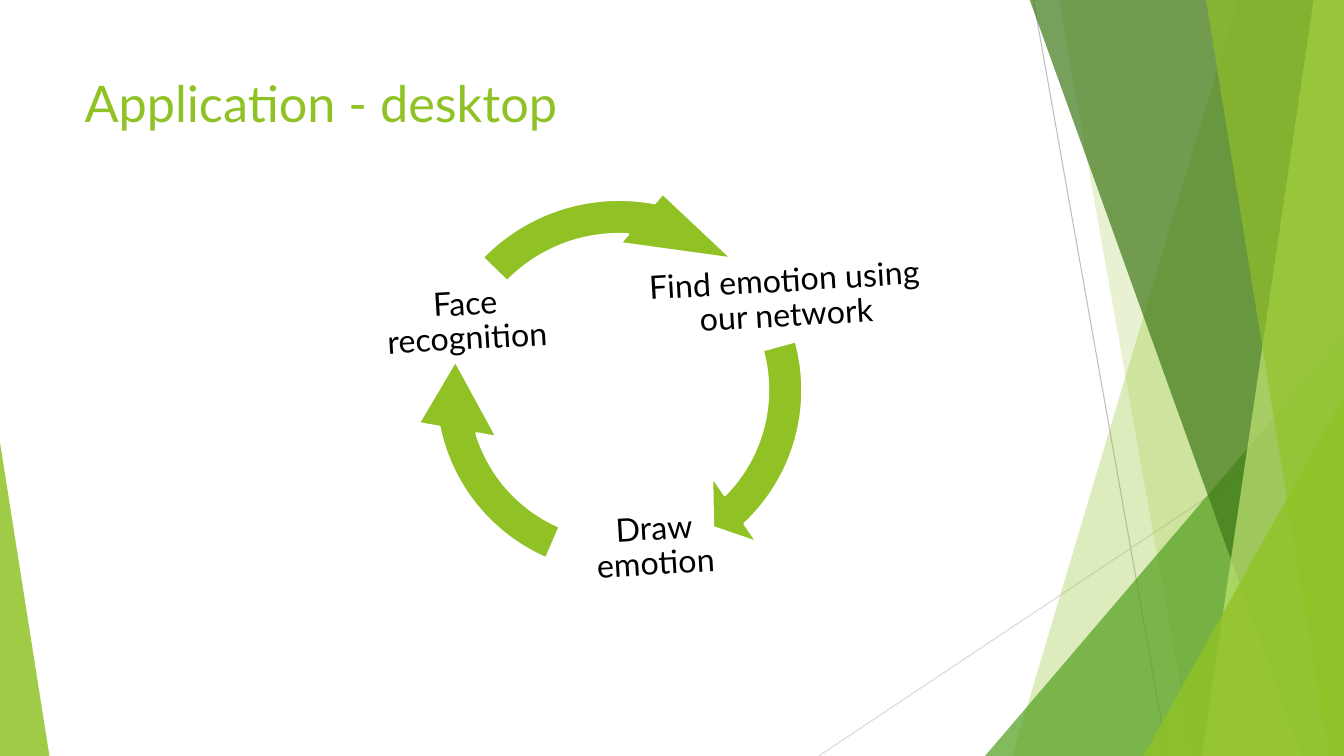
from lxml.etree import SubElement
from pptx import Presentation
from pptx.dml.color import RGBColor
from pptx.enum.shapes import MSO_CONNECTOR, MSO_SHAPE
from pptx.enum.text import MSO_ANCHOR, PP_ALIGN
from pptx.oxml.ns import qn
from pptx.util import Inches, Pt

LIME = RGBColor(0x90, 0xC2, 0x26)
PALE_LIME = RGBColor(0xC0, 0xE4, 0x74)
GREEN = RGBColor(0x54, 0xA0, 0x21)
DARK_GREEN = RGBColor(0x3F, 0x78, 0x19)
GRAY = RGBColor(0xBF, 0xBF, 0xBF)
LIGHT_GRAY = RGBColor(0xD9, 0xD9, 0xD9)
BLACK = RGBColor(0, 0, 0)
WHITE = RGBColor(0xFF, 0xFF, 0xFF)

FONT = "Lato"
WIDTH, HEIGHT = 13.33, 7.5
BAND_TOP = -0.01
CYCLE_ROTATION = 356.6
CYCLE_BOX = (4.1, 1.83, 4.08, 4.08)

# Label, its box, and the adjustments of the arrow drawn above it
CYCLE_STEPS = [
    ("Face recognition", (3.76, 2.33, 1.73, 1.73),
     (0.083, 5.767, 29.613, 208.78, 0.096)),
    ("Find emotion using our network", (6.36, 2.1, 2.86, 1.73),
     (0.083, 14.343, 101.699, 70.113, 0.096)),
    ("Draw emotion", (5.63, 4.56, 1.73, 1.73),
     (0.083, 19.805, 168.544, 136.568, 0.079)),
]


def to_inches(lengths):
    return [Inches(length) for length in lengths]


def fill_translucent(shape, color, opacity):
    """Fill without an outline; opacity is in percent."""
    shape.shadow.inherit = False
    shape.line.fill.background()
    shape.fill.solid()
    shape.fill.fore_color.rgb = color
    color_element = shape.fill._xPr.find(".//" + qn("a:srgbClr"))
    SubElement(color_element, qn("a:alpha"), val=str(opacity * 1000))


def add_thin_line(slide, start, end, color):
    line = slide.shapes.add_connector(
        MSO_CONNECTOR.STRAIGHT, *to_inches(start + end))
    line.line.color.rgb = color
    line.line.width = Pt(0.75)
    SubElement(line._element.spPr, qn("a:effectLst"))


def add_band(slide, top_x, bottom_x, color, opacity):
    """Add a full-height band from a slanted left edge to the slide's right edge."""
    builder = slide.shapes.build_freeform(Inches(top_x), Inches(BAND_TOP))
    corners = [(WIDTH, BAND_TOP), (WIDTH, HEIGHT), (bottom_x, HEIGHT)]
    builder.add_line_segments([to_inches(corner) for corner in corners], close=True)
    fill_translucent(builder.convert_to_shape(), color, opacity)


def add_corner_triangle(slide, box, apex, color, opacity):
    triangle = slide.shapes.add_shape(MSO_SHAPE.ISOSCELES_TRIANGLE, *to_inches(box))
    triangle.adjustments[0] = apex
    fill_translucent(triangle, color, opacity)


def add_text(slide, text, box, size, color):
    text_box = slide.shapes.add_textbox(*to_inches(box))
    text_box.text_frame.word_wrap = True
    run = text_box.text_frame.paragraphs[0].add_run()
    run.text = text
    run.font.name = FONT
    run.font.size = Pt(size)
    run.font.color.rgb = color
    return text_box


def add_cycle_label(slide, text, box):
    label = add_text(slide, text, box, 23, BLACK)
    label.rotation = CYCLE_ROTATION
    frame = label.text_frame
    frame.vertical_anchor = MSO_ANCHOR.MIDDLE
    frame.margin_left = frame.margin_right = Inches(0.03)
    frame.margin_top = frame.margin_bottom = Inches(0.03)
    paragraph = frame.paragraphs[0]
    paragraph.alignment = PP_ALIGN.CENTER
    paragraph.line_spacing = 0.9


def add_cycle_arrow(slide, adjustments):
    arrow = slide.shapes.add_shape(MSO_SHAPE.CIRCULAR_ARROW, *to_inches(CYCLE_BOX))
    for index, value in enumerate(adjustments):
        arrow.adjustments[index] = value
    arrow.rotation = CYCLE_ROTATION
    arrow.shadow.inherit = False
    arrow.fill.solid()
    arrow.fill.fore_color.rgb = LIME
    arrow.line.color.rgb = WHITE
    arrow.line.width = Pt(1.5)


def add_decoration(slide):
    add_thin_line(slide, (10.25, 0), (11.58, HEIGHT), GRAY)
    add_thin_line(slide, (WIDTH, 4.03), (8.12, HEIGHT), LIGHT_GRAY)
    add_band(slide, 12.28, 10.04, LIME, 30)
    add_band(slide, 10.5, 11.83, LIME, 20)
    add_corner_triangle(slide, (9.77, 3.33, 3.56, 4.17), 1, GREEN, 72)
    add_band(slide, 10.21, 12.91, DARK_GREEN, 70)
    add_band(slide, 13.03, 11.92, PALE_LIME, 70)
    add_band(slide, 11.96, 13.18, LIME, 65)
    add_corner_triangle(slide, (11.34, 3.93, 1.99, 3.57), 1, LIME, 80)
    add_corner_triangle(slide, (0, 4.39, 0.49, 3.11), 0, LIME, 85)


def main():
    presentation = Presentation()
    presentation.slide_width = Inches(WIDTH)
    presentation.slide_height = Inches(HEIGHT)
    slide = presentation.slides.add_slide(presentation.slide_layouts[6])
    add_decoration(slide)
    add_text(slide, "Application - desktop", (0.74, 0.67, 9.4, 1.44), 36, LIME)
    for text, box, adjustments in CYCLE_STEPS:
        add_cycle_label(slide, text, box)
        add_cycle_arrow(slide, adjustments)
    presentation.save("out.pptx")


if __name__ == "__main__":
    main()
